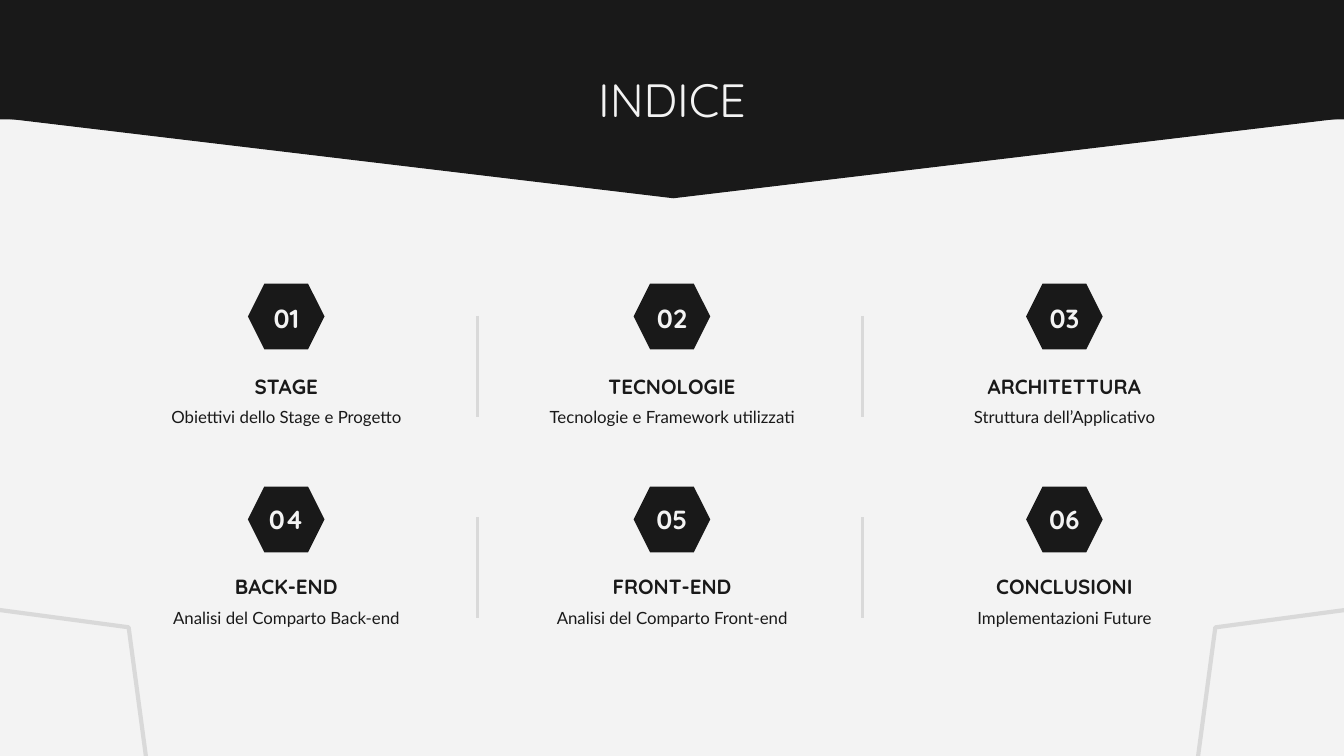
from dataclasses import dataclass

from lxml.etree import SubElement
from pptx import Presentation
from pptx.dml.color import RGBColor
from pptx.enum.shapes import MSO_CONNECTOR, MSO_SHAPE
from pptx.enum.text import MSO_ANCHOR, PP_ALIGN
from pptx.oxml.ns import qn
from pptx.util import Inches, Pt

DARK, LIGHT, GREY = "191919", "F3F3F3", "D9D9D9"
WIDTH = 10
HEIGHT = WIDTH * 9 / 16
COLUMN_CENTRES = (2.13, 5.0, 7.92)
DIVIDER_COLUMNS = (3.55, 6.42)
DIVIDER_TOP, DIVIDER_LENGTH, DIVIDER_PITCH = 2.35, 0.75, 1.5


@dataclass(frozen=True)
class Box:
    left: float
    top: float
    width: float
    height: float

    def lengths(self) -> list:
        return [Inches(value) for value in (self.left, self.top, self.width, self.height)]


@dataclass(frozen=True)
class TextStyle:
    size: float
    font: str
    colour: str
    bold: bool = False
    anchor: MSO_ANCHOR = MSO_ANCHOR.TOP
    line_spacing: float = 1.0


@dataclass(frozen=True)
class Part:
    """One part of every grid cell: its top in the first row, size and row pitch."""
    top: float
    width: float
    height: float
    pitch: float

    def box(self, column: int, row: int) -> Box:
        left = COLUMN_CENTRES[column] - self.width / 2
        return Box(left, self.top + row * self.pitch, self.width, self.height)


@dataclass(frozen=True)
class Topic:
    heading: str
    description: str


TITLE = TextStyle(25, "Quicksand", LIGHT)
NUMBER = TextStyle(14, "Quicksand", LIGHT, True, MSO_ANCHOR.MIDDLE)
HEADING = TextStyle(11, "Quicksand", DARK, True, MSO_ANCHOR.MIDDLE)
DESCRIPTION = TextStyle(9, "Lato", DARK, line_spacing=1.15)

HEXAGON_PART = Part(2.11, 0.57, 0.49, 1.51)
NUMBER_PART = Part(2.2, 0.82, 0.33, 1.5)
HEADING_PART = Part(2.56, 1.75, 0.63, 1.49)
DESCRIPTION_PART = Part(2.92, 2.15, 0.63, 1.49)

TOPICS = (
    Topic("STAGE", "Obiettivi dello Stage e Progetto"),
    Topic("TECNOLOGIE", "Tecnologie e Framework utilizzati"),
    Topic("ARCHITETTURA", "Struttura dell’Applicativo"),
    Topic("BACK-END", "Analisi del Comparto Back-end"),
    Topic("FRONT-END", "Analisi del Comparto Front-end"),
    Topic("CONCLUSIONI", "Implementazioni Future"),
)


def colour(hex_value: str) -> RGBColor:
    return RGBColor.from_string(hex_value)


def add_preset(slide, kind: MSO_SHAPE, box: Box, fill: str = "", line: str = "",
               line_width: float = 0.75, rotation: float = 0) -> None:
    """Draw a preset shape; an empty fill or line colour means none."""
    shape = slide.shapes.add_shape(kind, *box.lengths())
    shape.shadow.inherit = False
    shape.rotation = rotation
    for target, value in ((shape.fill, fill), (shape.line.fill, line)):
        if value:
            target.solid()
            target.fore_color.rgb = colour(value)
        else:
            target.background()
    if line:
        shape.line.width = Pt(line_width)


def add_text(slide, text: str, box: Box, style: TextStyle) -> None:
    frame = slide.shapes.add_textbox(*box.lengths()).text_frame
    margins = {f"margin_{side}": Inches(0.1) for side in ("left", "top", "right", "bottom")}
    paragraph = frame.paragraphs[0]
    run = paragraph.add_run()
    run.text = text
    formats = (
        (frame, {"word_wrap": True, "vertical_anchor": style.anchor, **margins}),
        (paragraph, {"alignment": PP_ALIGN.CENTER, "line_spacing": style.line_spacing}),
        (run.font, {"size": Pt(style.size), "name": style.font, "bold": style.bold}),
    )
    for target, values in formats:
        for name, value in values.items():
            setattr(target, name, value)
    run.font.color.rgb = colour(style.colour)


def add_divider(slide, x: float, top: float) -> None:
    connector = slide.shapes.add_connector(
        MSO_CONNECTOR.STRAIGHT, Inches(x), Inches(top), Inches(x), Inches(top + DIVIDER_LENGTH))
    connector.line.color.rgb = colour(GREY)
    connector.line.width = Pt(1.5)
    SubElement(connector._element.spPr, qn("a:effectLst"))


def add_header(slide) -> None:
    add_preset(slide, MSO_SHAPE.ISOSCELES_TRIANGLE, Box(-0.01, 0.87, 10.04, 0.6),
               DARK, DARK, rotation=180)
    add_preset(slide, MSO_SHAPE.RECTANGLE, Box(-0.01, -0.04, 10.04, 0.93), DARK)
    add_text(slide, "INDICE", Box(3.37, 0.43, 3.26, 0.75), TITLE)


def add_topic(slide, index: int, topic: Topic) -> None:
    row, column = divmod(index, len(COLUMN_CENTRES))
    add_preset(slide, MSO_SHAPE.HEXAGON, HEXAGON_PART.box(column, row), DARK)
    for text, part, style in (
        (f"{index + 1:02}", NUMBER_PART, NUMBER),
        (topic.heading, HEADING_PART, HEADING),
        (topic.description, DESCRIPTION_PART, DESCRIPTION),
    ):
        add_text(slide, text, part.box(column, row), style)


def add_corner_pentagons(slide) -> None:
    side = 2
    for centre, rotation in ((0.25, 45), (WIDTH - 0.25, 315)):
        add_preset(slide, MSO_SHAPE.REGULAR_PENTAGON,
                   Box(centre - side / 2, HEIGHT - 1.25, side, side),
                   line=GREY, line_width=2.25, rotation=rotation)


def main() -> None:
    presentation = Presentation()
    presentation.slide_width, presentation.slide_height = Inches(WIDTH), Inches(HEIGHT)
    slide = presentation.slides.add_slide(presentation.slide_layouts[6])
    slide.background.fill.solid()
    slide.background.fill.fore_color.rgb = colour(LIGHT)

    add_header(slide)
    for index, topic in enumerate(TOPICS):
        add_topic(slide, index, topic)
    for row in range(len(TOPICS) // len(COLUMN_CENTRES)):
        for x in DIVIDER_COLUMNS:
            add_divider(slide, x, DIVIDER_TOP + row * DIVIDER_PITCH)
    add_corner_pentagons(slide)
    presentation.save("out.pptx")


if __name__ == "__main__":
    main()
